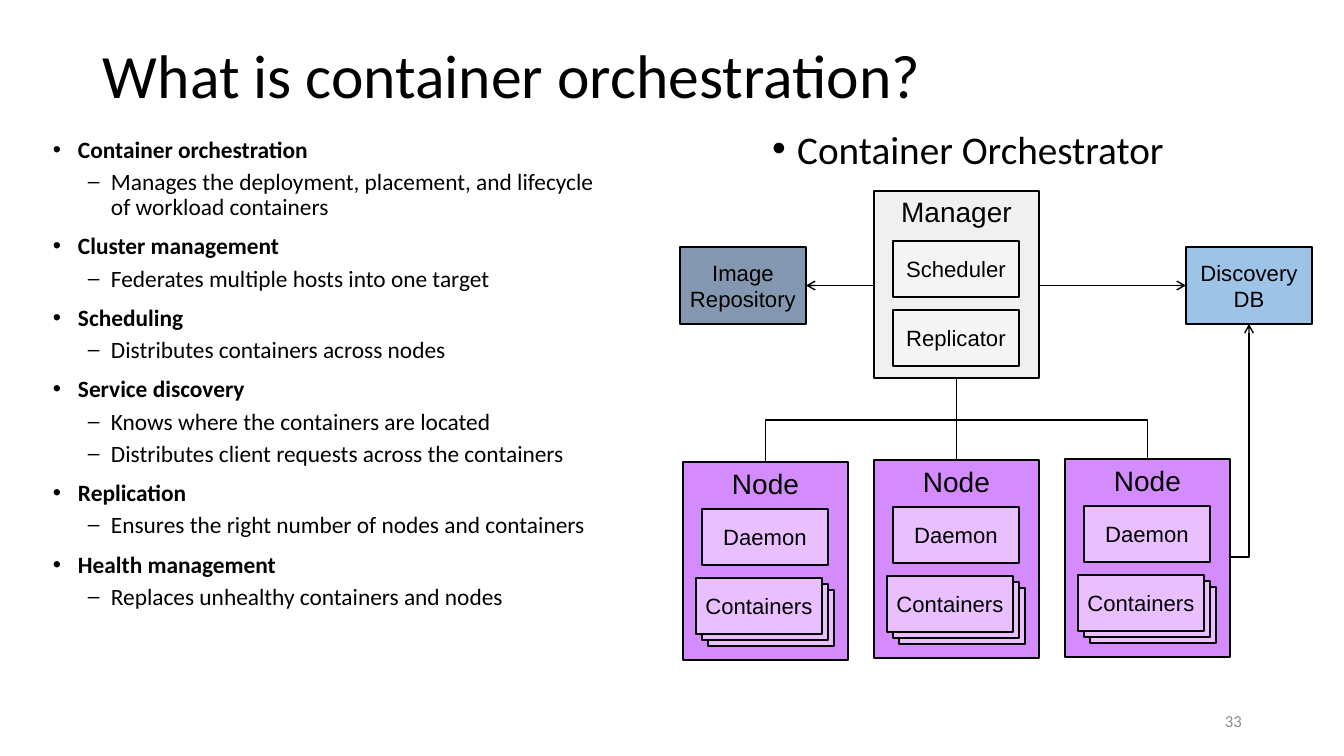
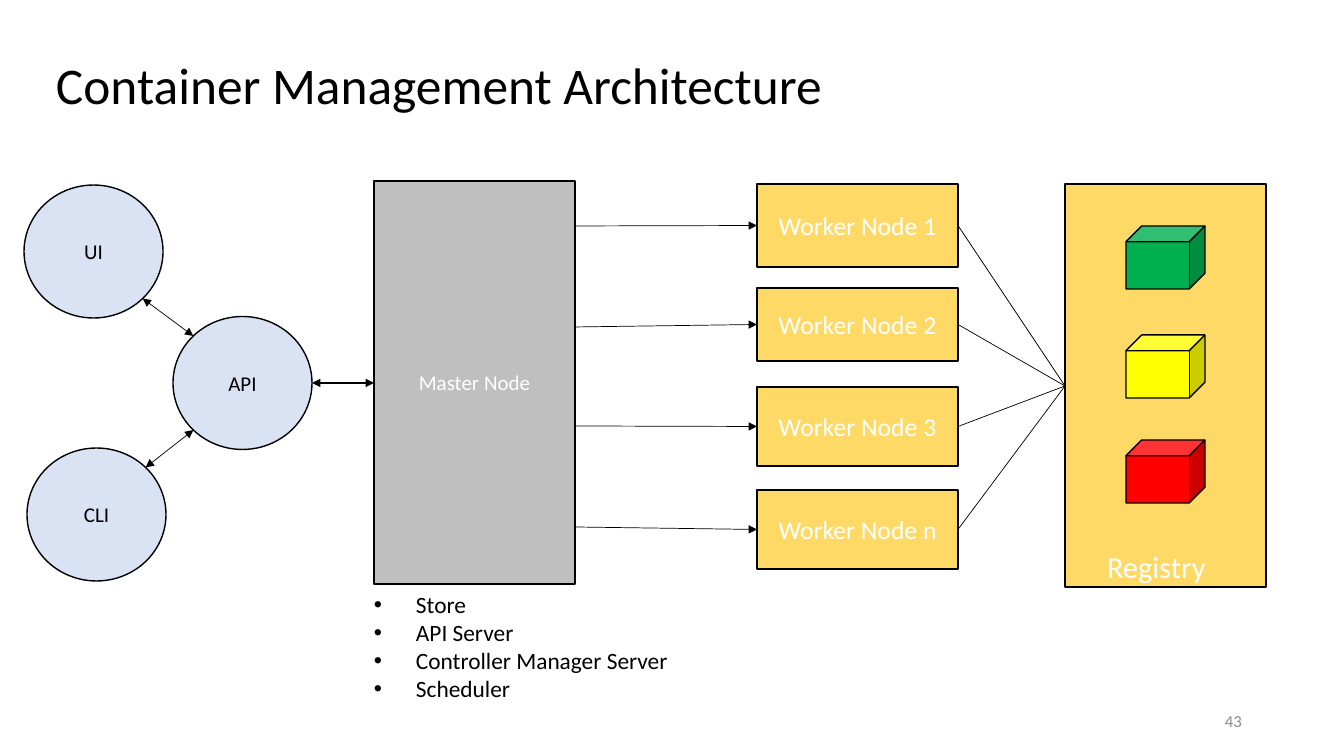
import pptx
import pptx.dml.color
import pptx.enum.shapes
import pptx.enum.text
import pptx.oxml.ns
import pptx.util
from lxml import etree

PIXEL = 12192000 / 1344
BLACK, WHITE, GREY = "000000", "FFFFFF", "8C8C8C"
PALE, LIGHT, PURPLE, LILAC = "F1F0F0", "F5F5F5", "D48BFD", "E9BFFF"
SLATE, SKY, SILVER, MIST, AMBER = "8497B0", "9DC3E6", "BFBFBF", "DAE3F3", "FFD966"
GREEN, YELLOW, RED = "00B050", "FFFF00", "FF0000"
BODY_FONT, DIAGRAM_FONT = "Calibri", "Arial"
PAGE_BOX = (950, 701, 302, 40)
TITLE_SIZE = (1159, 146)
TIGHT = (8, 4)
KINDS = pptx.enum.shapes.MSO_SHAPE
LINKS = pptx.enum.shapes.MSO_CONNECTOR
ALIGN = pptx.enum.text.PP_ALIGN
ANCHOR = pptx.enum.text.MSO_ANCHOR


def emu(pixels):
    """Turn pixels into EMU."""
    return pptx.util.Emu(round(pixels * PIXEL))


def color(value):
    """Turn a hex string into a colour."""
    return pptx.dml.color.RGBColor.from_string(value)


def add_xml(parent, tag, **attributes):
    """Append a drawing element to its parent."""
    return etree.SubElement(parent, pptx.oxml.ns.qn(tag), attributes)


def style(paragraph, size, ink=BLACK, font=BODY_FONT, bold=False):
    """Format every run of a paragraph."""
    for run in paragraph.runs:
        run.font.size = pptx.util.Pt(size)
        run.font.name = font
        run.font.bold = bold
        run.font.color.rgb = color(ink)


def bullet(paragraph, mark, margin, hang, percent=100):
    """Give a paragraph a hanging bullet, with lengths in pixels."""
    properties = paragraph._p.get_or_add_pPr()
    properties.set("marL", str(emu(margin)))
    properties.set("indent", str(emu(-hang)))
    add_xml(properties, "a:buSzPct", val=str(percent * 1000))
    add_xml(properties, "a:buFont", typeface=DIAGRAM_FONT)
    add_xml(properties, "a:buChar", char=mark)


def set_frame(frame, anchor=ANCHOR.TOP, insets=(10, 5), wrap=True):
    """Set the anchor, insets and wrapping of a text frame."""
    frame.word_wrap = wrap
    frame.vertical_anchor = anchor
    frame.margin_left = frame.margin_right = emu(insets[0])
    frame.margin_top = frame.margin_bottom = emu(insets[1])


def add_text(slide, box, lines, size, ink=BLACK, align=ALIGN.LEFT, anchor=ANCHOR.TOP, spacing=1.0):
    """Add a text box and return its paragraphs."""
    frame = slide.shapes.add_textbox(*map(emu, box)).text_frame
    set_frame(frame, anchor)
    frame.text = "\n".join(lines)
    for paragraph in frame.paragraphs:
        paragraph.alignment = align
        paragraph.line_spacing = spacing
        style(paragraph, size, ink)
    return frame.paragraphs


def add_part(slide, box, fill, label="", size=15.8, kind=KINDS.RECTANGLE, ink=BLACK,
             font=DIAGRAM_FONT, anchor=ANCHOR.MIDDLE, insets=TIGHT, wrap=False):
    """Add an outlined shape with a centred label."""
    part = slide.shapes.add_shape(kind, *map(emu, box))
    part.shadow.inherit = False
    part.fill.solid()
    part.fill.fore_color.rgb = color(fill)
    part.line.color.rgb = color(BLACK)
    part.line.width = pptx.util.Pt(1)
    if label:
        set_frame(part.text_frame, anchor, insets, wrap)
        part.text_frame.text = label
        paragraph = part.text_frame.paragraphs[0]
        paragraph.alignment = ALIGN.CENTER
        style(paragraph, size, ink, font)


def add_link(slide, start, end, width=1.0, head=None, tail=None, kind=LINKS.STRAIGHT):
    """Add a connector with optional arrowheads."""
    link = slide.shapes.add_connector(kind, *map(emu, (*start, *end)))
    link.line.color.rgb = color(BLACK)
    link.line.width = pptx.util.Pt(width)
    outline = link.line._get_or_add_ln()
    for tag, arrow in (("a:headEnd", head), ("a:tailEnd", tail)):
        if arrow:
            add_xml(outline, tag, type=arrow)
    add_xml(link._element.spPr, "a:effectLst")
    return link


def add_branch(slide, start, end, bend):
    """Add an elbow that leaves downwards and turns at the height bend."""
    across, down = end[0] - start[0], end[1] - start[1]
    middle_x, middle_y = start[0] + across / 2, start[1] + down / 2
    branch = add_link(slide, (middle_x - down / 2, middle_y + across / 2),
                      (middle_x + down / 2, middle_y - across / 2), kind=LINKS.ELBOW)
    properties = branch._element.spPr
    properties.find(pptx.oxml.ns.qn("a:xfrm")).set("rot", "5400000")
    share = round(100000 * (bend - start[1]) / down)
    guides = properties.find(".//" + pptx.oxml.ns.qn("a:avLst"))
    add_xml(guides, "a:gd", name="adj1", fmla=f"val {share}")


def add_page(deck, title, corner, size, number):
    """Add a blank slide with its title and page number."""
    slide = deck.slides.add_slide(deck.slide_layouts[6])
    add_text(slide, (*corner, *TITLE_SIZE), [title], size, anchor=ANCHOR.MIDDLE, spacing=0.9)
    add_text(slide, PAGE_BOX, [number], 12, GREY, ALIGN.RIGHT, ANCHOR.MIDDLE)
    return slide


def add_duties(slide, box, duties):
    """Add bold topics, each followed by its dashed details."""
    lines = [(line, level) for topic, *details in duties
             for line, level in [(topic, 0), *((detail, 1) for detail in details)]]
    paragraphs = add_text(slide, box, [line for line, _ in lines], 16.7, spacing=0.9)
    for paragraph, (_, level) in zip(paragraphs, lines):
        paragraph.space_before = pptx.util.Pt(5 if level else 10)
        if level:
            paragraph.level = 1
            bullet(paragraph, "–", 58, 23, 90)
        else:
            style(paragraph, 16.7, bold=True)
            bullet(paragraph, "•", 25, 25)


def add_manager(slide, box):
    """Add the manager with its scheduler and replicator."""
    left, top = box[:2]
    add_part(slide, box, PALE, "Manager", 20, anchor=ANCHOR.TOP)
    for drop, label in ((50, "Scheduler"), (119, "Replicator")):
        add_part(slide, (left + 19, top + drop, 126, 56), LIGHT, label)


def add_node(slide, box):
    """Add a node with its daemon and a stack of containers."""
    left, top = box[:2]
    add_part(slide, box, PURPLE, "Node", 20, anchor=ANCHOR.TOP)
    add_part(slide, (left + 19, top + 47, 126, 56), LILAC, "Daemon")
    for depth, label in ((2, ""), (1, ""), (0, "Containers")):
        shift = 6 * depth
        add_part(slide, (left + 13 + shift, top + 116 + shift, 126, 56), LILAC, label)


def add_orchestrator(slide, box):
    """Add the manager, its nodes, the image repository and the discovery database."""
    left, top, width, _ = box
    right = left + width
    manager_left, manager_width, manager_height = left + 194, 165, 187
    manager_middle = manager_left + manager_width / 2
    manager_bottom = top + manager_height
    store_top, store_width, store_height = top + 56, 126, 77
    row = store_top + store_height / 2

    add_manager(slide, (manager_left, top, manager_width, manager_height))
    node_tops = (top + 271, top + 269, top + 268)
    for column, node_top in enumerate(node_tops):
        node_left = left + 3 + 191 * column
        add_node(slide, (node_left, node_top, 165, 198))
        foot, crown = (manager_middle, manager_bottom), (node_left + 82.5, node_top)
        if column == 1:
            add_link(slide, foot, crown)
        else:
            add_branch(slide, foot, crown, manager_bottom + 42)

    add_part(slide, (left, store_top, store_width, store_height), SLATE, "Image Repository",
             insets=(0, 4), wrap=True)
    add_part(slide, (right - store_width, store_top, store_width, store_height), SKY,
             "Discovery DB", wrap=True)
    add_link(slide, (manager_left, row), (left + store_width, row), tail="arrow")
    add_link(slide, (manager_left + manager_width, row), (right - store_width, row), tail="arrow")
    lookup = add_link(slide, (node_left + 165, node_top + 98),
                      (right - store_width / 2, store_top + store_height),
                      tail="arrow", kind=LINKS.ELBOW)
    lookup._element.spPr.find(pptx.oxml.ns.qn("a:prstGeom")).set("prst", "bentConnector2")


def add_clients(slide, box, master_left):
    """Add the interfaces around the API and link them to the master."""
    left, top, width, height = box
    wide, high = 139, 133
    diagonal_x, diagonal_y = wide / 2 * 0.707, high / 2 * 0.707
    api_left, api_top = left + width - wide, top + (height - high) / 2
    api_x, api_y = api_left + wide / 2, api_top + high / 2
    interfaces = (("UI", left, top, 1), ("CLI", left + 3, top + height - high, -1))
    circles = [("API", api_left, api_top), *(interface[:3] for interface in interfaces)]
    for label, circle_left, circle_top in circles:
        add_part(slide, (circle_left, circle_top, wide, high), MIST, label, 15, KINDS.OVAL,
                 font=BODY_FONT, insets=(10, 5), wrap=True)
    for _, circle_left, circle_top, side in interfaces:
        add_link(slide,
                 (circle_left + wide / 2 + diagonal_x, circle_top + high / 2 + side * diagonal_y),
                 (api_x - diagonal_x, api_y - side * diagonal_y), 0.5, "triangle", "triangle")
    add_link(slide, (left + width, api_y), (master_left, api_y), 1.5, "triangle", "triangle")


def add_master(slide, box, services):
    """Add the master node with its services listed below."""
    left, top, _, height = box
    add_part(slide, box, SILVER, "Master Node", 15, ink=WHITE, font=BODY_FONT,
             insets=(10, 5), wrap=True)
    for paragraph in add_text(slide, (left - 10, top + height + 1, 396, 123), services, 16.7):
        bullet(paragraph, "•", 42, 42)


def add_registry(slide, box):
    """Add the registry with its three stored images."""
    left, top = box[:2]
    add_part(slide, box, AMBER)
    add_text(slide, (left + 32, top + 359, 159, 47), ["Registry"], 21.7, WHITE)
    for drop, fill in ((42, GREEN), (151, YELLOW), (256, RED)):
        add_part(slide, (left + 61, top + drop, 79, 63), fill, kind=KINDS.CUBE)


def add_workers(slide, box, master_right, registry_entry):
    """Add the workers, linked to the master and the registry."""
    left, top, width, _ = box
    workers = (("1", 0, 83, 226), ("2", 104, 73, 327), ("3", 203, 79, 426), ("n", 306, 79, 527))
    for name, drop, height, departure in workers:
        middle = top + drop + height / 2
        add_part(slide, (left, top + drop, width, height), AMBER, f"Worker Node {name}", 18.3,
                 ink=WHITE, font=BODY_FONT, insets=(10, 5), wrap=True)
        add_link(slide, (master_right, departure), (left, middle), 0.5, tail="triangle")
        add_link(slide, (left + width, middle), registry_entry, 0.5)


def orchestration_slide(deck):
    """Build the slide that explains container orchestration."""
    slide = add_page(deck, "What is container orchestration?", (93, 6), 44, "33")
    add_duties(slide, (43, 133, 569, 560), (
        ("Container orchestration",
         "Manages the deployment, placement, and lifecycle of workload containers"),
        ("Cluster management", "Federates multiple hosts into one target"),
        ("Scheduling", "Distributes containers across nodes"),
        ("Service discovery", "Knows where the containers are located",
         "Distributes client requests across the containers"),
        ("Replication", "Ensures the right number of nodes and containers"),
        ("Health management", "Replaces unhealthy containers and nodes"),
    ))
    heading = add_text(slide, (716, 129, 504, 50), ["Container Orchestrator"], 28,
                       align=ALIGN.CENTER, spacing=0.8)[0]
    heading.space_before = pptx.util.Pt(10)
    bullet(heading, "•", 25, 25)
    add_orchestrator(slide, (680, 191, 632, 469))


def architecture_slide(deck):
    """Build the slide that shows the management architecture."""
    slide = add_page(deck, "Container Management Architecture", (46, 15), 36.7, "43")
    add_master(slide, (374, 181, 201, 403),
               ["Store", "API Server", "Controller Manager Server", "Scheduler"])
    add_clients(slide, (24, 185, 288, 396), 374)
    add_registry(slide, (1065, 184, 201, 403))
    add_workers(slide, (757, 184, 201, 385), 575, (1065, 386))


deck = pptx.Presentation()
deck.slide_width, deck.slide_height = emu(1344), emu(756)
orchestration_slide(deck)
architecture_slide(deck)
deck.save("out.pptx")
